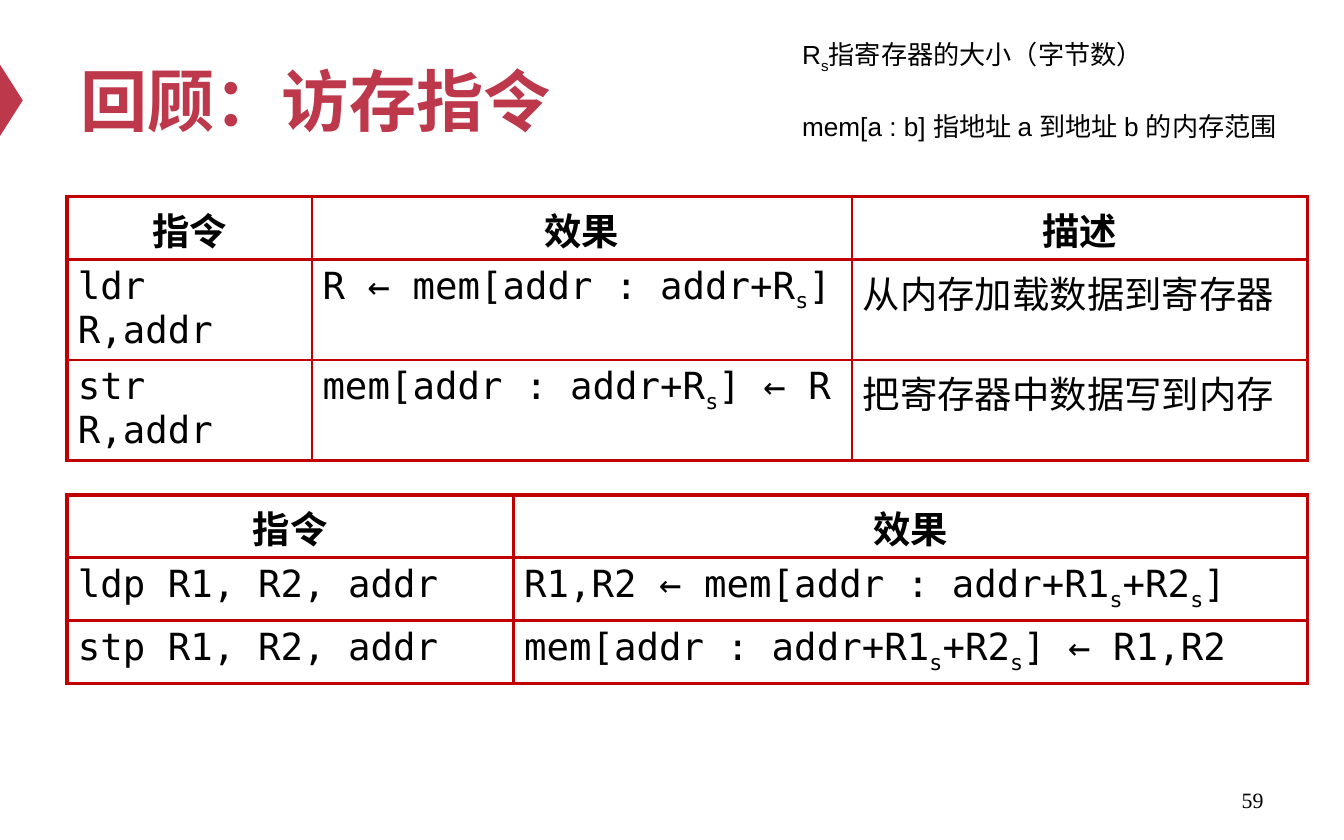
from dataclasses import dataclass

from lxml.etree import SubElement
from pptx import Presentation
from pptx.dml.color import RGBColor
from pptx.enum.shapes import MSO_SHAPE as Shape
from pptx.enum.text import MSO_ANCHOR as Anchor, PP_ALIGN as Align
from pptx.oxml import parse_xml
from pptx.oxml.ns import nsdecls, qn
from pptx.util import Inches, Pt

WIDTH, HEIGHT = 10, 6.25
COLORS = {"accent": "BE384B", "border": "C00000", "text": "000000"}
CHINESE = "Noto Sans CJK SC"
MONO = "DejaVu Sans Mono"
SUBSCRIPT = "_s"  # marks a lowered "s" in the wording
THICK, THIN = 2.25, 1.5
TABLE_LEFT, ROW_HEIGHT = 0.05, 0.075


@dataclass(frozen=True)
class Box:
    """A frame in shares of the slide's width and height."""
    left: float
    top: float
    width: float
    height: float

    def lengths(self) -> list:
        return [Inches(self.left * WIDTH), Inches(self.top * HEIGHT),
                Inches(self.width * WIDTH), Inches(self.height * HEIGHT)]


@dataclass(frozen=True)
class Style:
    size: float
    name: str = "Arial"
    bold: bool = False
    color: str = "text"
    alignment: Align = Align.LEFT


@dataclass(frozen=True)
class TextBox:
    box: Box
    style: Style
    lines: tuple
    anchor: Anchor = Anchor.MIDDLE
    formats: tuple = ()


@dataclass(frozen=True)
class InstructionTable:
    top: float
    columns: tuple
    rows: tuple
    right_border: float


HEADER = Style(20, bold=True, alignment=Align.CENTER)
CODE = Style(20, MONO)
DESCRIPTION = Style(20, CHINESE)

TEXT_BOXES = (
    TextBox(Box(0.717, 0.926, 0.233, 0.053),
            Style(11.7, "Times New Roman", alignment=Align.RIGHT), ("59",)),
    TextBox(Box(0.05, 0.04, 0.9, 0.157),
            Style(36, CHINESE, True, "accent"), ("回顾：访存指令",)),
    TextBox(Box(0.587, 0.043, 0.377, 0.166), Style(14, alignment=Align.JUSTIFY),
            ("R_s指寄存器的大小（字节数）", "mem[a : b] 指地址 a 到地址 b 的内存范围"),
            Anchor.TOP, (("line_spacing", Pt(17)), ("space_before", Pt(19)))),
)

TABLES = (
    InstructionTable(0.234, (0.182, 0.402, 0.339), (
        ("指令", "效果", "描述"),
        ("ldr R,addr", "R ← mem[addr : addr+R_s]", "从内存加载数据到寄存器"),
        ("str R,addr", "mem[addr : addr+R_s] ← R", "把寄存器中数据写到内存"),
    ), THICK),
    InstructionTable(0.589, (0.332, 0.591), (
        ("指令", "效果"),
        ("ldp R1, R2, addr", "R1,R2 ← mem[addr : addr+R1_s+R2_s]"),
        ("stp R1, R2, addr", "mem[addr : addr+R1_s+R2_s] ← R1,R2"),
    ), THIN),
)


def add_run(paragraph, text: str, style: Style, lowered: bool = False) -> None:
    run = paragraph.add_run()
    run.text = text
    for key, value in {"size": Pt(style.size), "bold": style.bold,
                       "name": style.name}.items():
        setattr(run.font, key, value)
    run.font.color.rgb = RGBColor.from_string(COLORS[style.color])
    properties = run.font._element
    SubElement(properties, qn("a:ea"), typeface=CHINESE)
    if lowered:
        properties.set("baseline", "-25000")


def write(paragraph, text: str, style: Style) -> None:
    """Write text as runs, lowering each marked subscript."""
    paragraph.alignment = style.alignment
    for index, piece in enumerate(text.split(SUBSCRIPT)):
        if index:
            add_run(paragraph, "s", style, lowered=True)
        if piece:
            add_run(paragraph, piece, style)


def add_text_box(slide, item: TextBox) -> None:
    frame = slide.shapes.add_textbox(*item.box.lengths()).text_frame
    frame.word_wrap = True
    frame.vertical_anchor = item.anchor
    for index, line in enumerate(item.lines):
        paragraph = frame.add_paragraph() if index else frame.paragraphs[0]
        for key, value in item.formats:
            if index or key != "space_before":
                setattr(paragraph, key, value)
        write(paragraph, line, item.style)


def set_borders(cell, widths: dict) -> None:
    """Line the cell's sides; widths are points by side, in schema order."""
    properties = cell._tc.get_or_add_tcPr()
    for index, (side, width) in enumerate(widths.items()):
        properties.insert(index, parse_xml(
            f'<a:ln{side} {nsdecls("a")} w="{Pt(width)}"><a:solidFill>'
            f'<a:srgbClr val="{COLORS["border"]}"/></a:solidFill></a:ln{side}>'))


def add_instruction_table(slide, item: InstructionTable) -> None:
    row_count, column_count = len(item.rows), len(item.columns)
    box = Box(TABLE_LEFT, item.top, sum(item.columns), ROW_HEIGHT * row_count)
    table = slide.shapes.add_table(row_count, column_count, *box.lengths()).table
    table.first_row = table.horz_banding = False
    for column, share in zip(table.columns, item.columns):
        column.width = Inches(share * WIDTH)
    for row, texts in enumerate(item.rows):
        for column, text in enumerate(texts):
            cell = table.cell(row, column)
            for side, inset in {"left": 0.08, "right": 0.08,
                                "top": 0.04, "bottom": 0.04}.items():
                setattr(cell, f"margin_{side}", Inches(inset))
            cell.fill.background()
            last = column == column_count - 1
            set_borders(cell, {"L": THIN if column else THICK,
                               "R": item.right_border if last else THIN,
                               "T": THIN if row else THICK, "B": THIN})
            body = DESCRIPTION if column == 2 else CODE
            write(cell.text_frame.paragraphs[0], text, body if row else HEADER)


def add_title_marker(slide) -> None:
    box = Box(-0.018, 0.106, 0.053, 0.027)
    marker = slide.shapes.add_shape(Shape.ISOSCELES_TRIANGLE, *box.lengths())
    marker.rotation = 90
    marker.shadow.inherit = False
    marker.fill.solid()
    marker.fill.fore_color.rgb = RGBColor.from_string(COLORS["accent"])
    marker.line.fill.background()


def main() -> None:
    presentation = Presentation()
    presentation.slide_width = Inches(WIDTH)
    presentation.slide_height = Inches(HEIGHT)
    slide = presentation.slides.add_slide(presentation.slide_layouts[6])
    add_title_marker(slide)
    for text_box in TEXT_BOXES:
        add_text_box(slide, text_box)
    for table in TABLES:
        add_instruction_table(slide, table)
    presentation.save("out.pptx")


if __name__ == "__main__":
    main()
